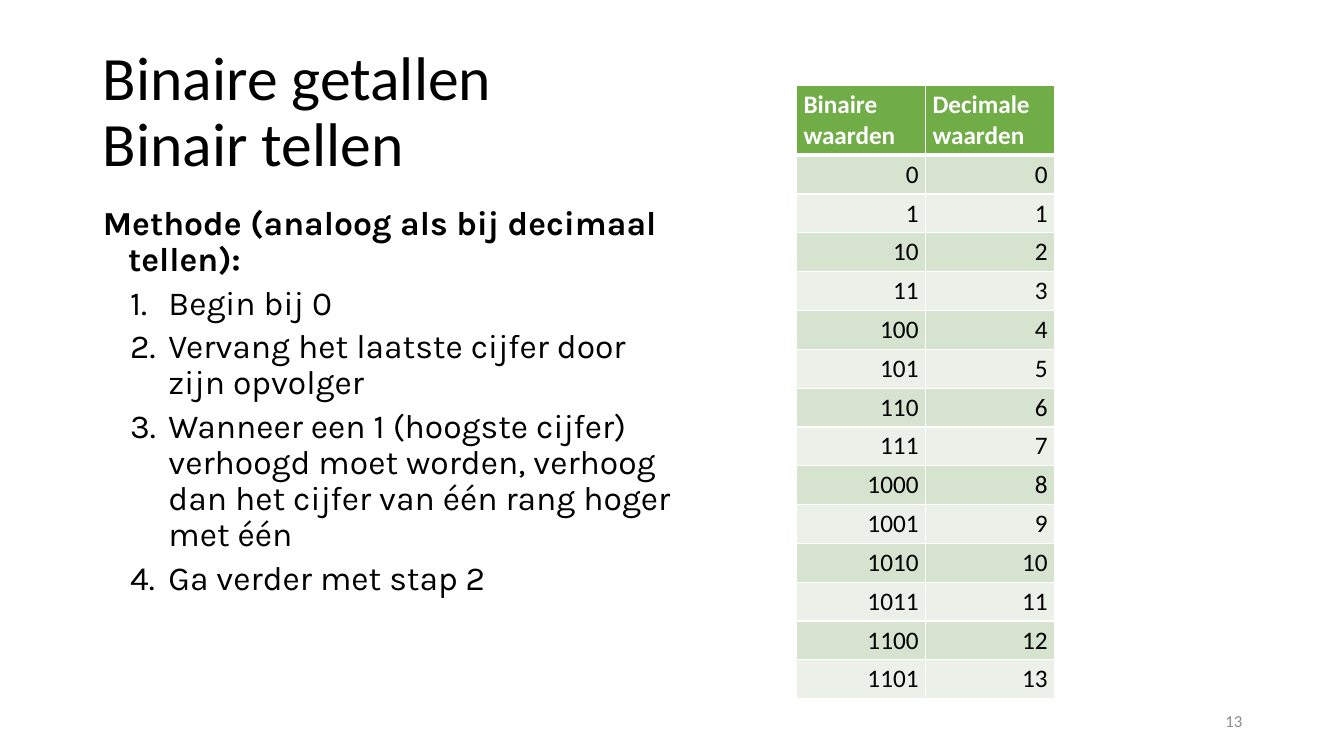
from pptx import Presentation
from pptx.dml.color import RGBColor
from pptx.enum.text import MSO_ANCHOR, MSO_AUTO_SIZE, PP_ALIGN
from pptx.oxml.ns import qn
from pptx.util import Inches, Pt
from lxml import etree

LEFT, RIGHT = PP_ALIGN.LEFT, PP_ALIGN.RIGHT
TOP, MIDDLE = MSO_ANCHOR.TOP, MSO_ANCHOR.MIDDLE
NO_FIT = MSO_AUTO_SIZE.NONE
COLORS = {"text": "000000", "white": "FFFFFF", "header": "70AD47",
          "odd": "D5E3CF", "even": "EBF1E9", "number": "8C8C8C"}


def format_runs(para, size, font, color, bold=False):
    for span in para.runs:
        span.font.size = Pt(size)
        span.font.name = font
        span.font.bold = bold
        span.font.color.rgb = RGBColor.from_string(COLORS[color])


def add_border(cell, side, width):
    line = etree.SubElement(cell._tc.get_or_add_tcPr(), qn(f"a:ln{side}"), w=str(Pt(width)))
    fill = etree.SubElement(line, qn("a:solidFill"))
    etree.SubElement(fill, qn("a:srgbClr"), val=COLORS["white"])


deck = Presentation()
deck.slide_width, deck.slide_height = Inches(13.33), Inches(7.5)
page = deck.slides.add_slide(deck.slide_layouts[1])

title = page.shapes.title
title.left, title.top, title.width, title.height = map(Inches, (0.92, 0.4, 11.5, 1.45))
title.text_frame.text = "Binaire getallen\vBinair tellen"
title.text_frame.auto_size = NO_FIT
title.text_frame.vertical_anchor = MIDDLE
heading = title.text_frame.paragraphs[0]
heading.alignment = LEFT
heading.line_spacing = 0.9
format_runs(heading, 44, "Calibri", "text")

body = page.placeholders[1]
body.left, body.top, body.width, body.height = map(Inches, (0.92, 2, 5.85, 4.76))
body.text_frame.auto_size = NO_FIT
body.text_frame.vertical_anchor = TOP
body.text_frame.text = "\n".join([
    "Methode (analoog als bij decimaal tellen):",
    "Begin bij 0",
    "Vervang het laatste cijfer door zijn opvolger",
    "Wanneer een 1 (hoogste cijfer) verhoogd moet worden, verhoog dan het cijfer van één rang hoger met één",
    "Ga verder met stap 2",
])
for index, para in enumerate(body.text_frame.paragraphs):
    is_step = index > 0
    para.level = int(is_step)
    para.line_spacing = 0.9
    para.space_before = Pt(5 if is_step else 0)
    properties = para._p.get_or_add_pPr()
    margin, indent = (0.65, -0.38) if is_step else (0.25, -0.25)
    properties.set("marL", str(Inches(margin)))
    properties.set("indent", str(Inches(indent)))
    if is_step:
        etree.SubElement(properties, qn("a:buFont"), typeface="Karla")
        etree.SubElement(properties, qn("a:buAutoNum"), type="arabicPeriod")
    else:
        etree.SubElement(properties, qn("a:buNone"))
    format_runs(para, 24, "Karla", "text", bold=not is_step)

rows = [("Binaire waarden", "Decimale waarden")]
rows += [(f"{value:b}", str(value)) for value in range(14)]
header_height, table_height = Inches(0.66), Inches(5.92)
table = page.shapes.add_table(len(rows), 2, Inches(7.9), Inches(0.85),
                              Inches(2.56), table_height).table
for row_index, values in enumerate(rows):
    is_header = row_index == 0
    table.rows[row_index].height = (
        header_height if is_header else (table_height - header_height) // (len(rows) - 1))
    fill_color = "header" if is_header else "odd" if row_index % 2 else "even"
    for column_index, value in enumerate(values):
        cell = table.cell(row_index, column_index)
        cell.text = value
        cell.margin_left = cell.margin_right = Inches(0.07)
        cell.margin_top = cell.margin_bottom = Inches(0.04)
        for side, width in (("L", 1), ("R", 1), ("T", 3 if row_index == 1 else 1),
                            ("B", 3 if is_header else 1)):
            add_border(cell, side, width)
        cell.fill.solid()
        cell.fill.fore_color.rgb = RGBColor.from_string(COLORS[fill_color])
        para = cell.text_frame.paragraphs[0]
        para.alignment = LEFT if is_header else RIGHT
        format_runs(para, 18, "Calibri", "white" if is_header else "text", is_header)

number = page.shapes.add_textbox(Inches(9.42), Inches(6.95), Inches(3), Inches(0.4))
number.text_frame.word_wrap = True
number.text_frame.vertical_anchor = MIDDLE
number.text_frame.text = "13"
para = number.text_frame.paragraphs[0]
para.alignment = RIGHT
format_runs(para, 12, "Calibri", "number")

deck.save("out.pptx")
